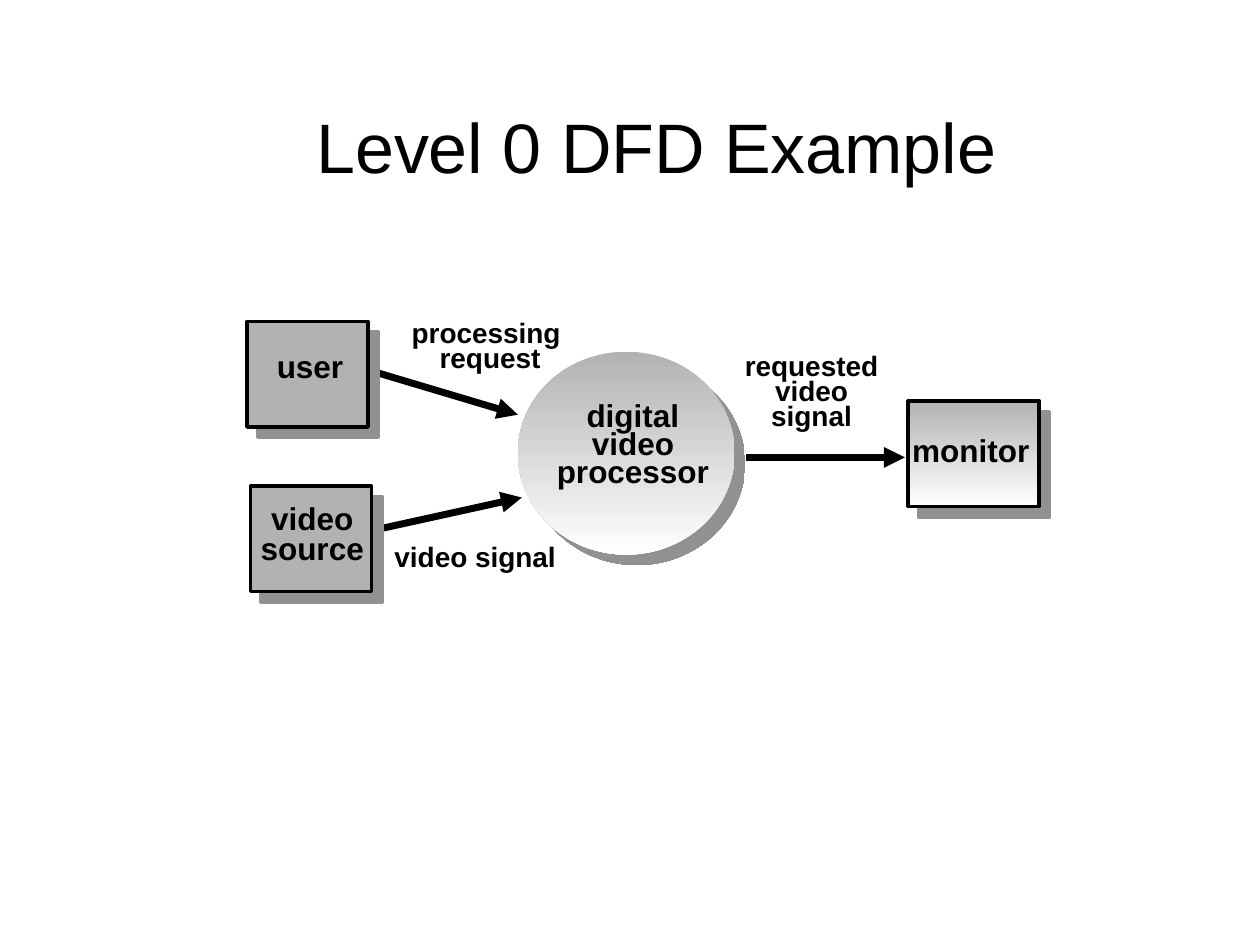
from pptx import Presentation
from pptx.dml.color import RGBColor
from pptx.enum.shapes import MSO_CONNECTOR as Link, MSO_SHAPE as Preset
from pptx.enum.text import MSO_ANCHOR as Anchor, MSO_AUTO_SIZE as AutoSize, PP_ALIGN as Align
from pptx.oxml.ns import qn
from pptx.util import Cm, Pt
from lxml.etree import SubElement

BLACK = RGBColor(0x00, 0x00, 0x00)
WHITE = RGBColor(0xFF, 0xFF, 0xFF)
GREY = RGBColor(0xB2, 0xB2, 0xB2)
SHADOW = RGBColor(0x91, 0x91, 0x91)
FONT = "Arial"

FLOWS = [
    ((7.19, 7.39), (10.44, 8.36)),
    ((7.16, 10.77), (10.52, 10.03)),
    ((15.04, 9.22), (18.24, 9.22)),
]
ENTITIES = [
    ((4.98, 6.48, 2.44, 2.13), False),
    ((5.05, 9.8, 2.44, 2.13), False),
    ((18.31, 8.08, 2.64, 2.13), True),
]
LABELS = [
    ((5.33, 6.88, 1.85, 1.02), ["user"], 18, Align.LEFT, 1.0),
    ((8.05, 6.4, 3.66, 1.27), ["processing ", "request"], 16, Align.CENTER, 0.75),
    ((5.0, 10.08, 2.59, 1.47), ["video", "source"], 18, Align.CENTER, 0.8),
    ((7.7, 10.92, 3.76, 0.76), ["video signal"], 16, Align.CENTER, 0.75),
    ((10.97, 8.03, 3.58, 1.96), ["digital", "video", "processor"], 18, Align.CENTER, 0.75),
    ((14.76, 7.06, 3.2, 1.78), ["requested", "video", "signal"], 16, Align.CENTER, 0.75),
    ((18.14, 8.56, 2.87, 1.02), ["monitor"], 18, Align.LEFT, 1.0),
]


def set_font(para, size, bold):
    """Give a paragraph the black slide font."""
    font = para.font
    font.name, font.size, font.bold = FONT, Pt(size), bold
    font.color.rgb = BLACK


def add_title(page, text):
    """Place and format the title placeholder."""
    title = page.shapes.title
    title.left, title.top, title.width, title.height = map(Cm, (4.24, 1.14, 17.98, 3.58))
    frame = title.text_frame
    frame.text = text
    frame.vertical_anchor = Anchor.MIDDLE
    para = frame.paragraphs[0]
    para.alignment = Align.CENTER
    set_font(para, 40, False)


def add_shadow(shape):
    """Cast a hard shadow down and to the right."""
    shape.shadow.inherit = False
    effects = shape._element.spPr.find(qn("a:effectLst"))
    outer = SubElement(effects, qn("a:outerShdw"), dist=str(Pt(8.5)), dir="2700000",
                       algn="ctr", rotWithShape="0")
    SubElement(outer, qn("a:srgbClr"), val=str(SHADOW))


def add_node(page, preset, place, shaded, outlined):
    """Add a shadowed process or entity shape."""
    shape = page.shapes.add_shape(preset, *map(Cm, place))
    if shaded:
        shape.fill.gradient()
        shape.fill.gradient_angle = 270
        for stop, color in zip(shape.fill.gradient_stops, (GREY, WHITE)):
            stop.color.rgb = color
    else:
        shape.fill.solid()
        shape.fill.fore_color.rgb = GREY
    if outlined:
        shape.line.color.rgb = BLACK
        shape.line.width = Pt(2)
    else:
        shape.line.fill.background()
    add_shadow(shape)


def add_flow(page, start, end):
    """Add a thick data flow arrow."""
    arrow = page.shapes.add_connector(Link.STRAIGHT, *map(Cm, start + end))
    arrow.line.color.rgb = BLACK
    arrow.line.width = Pt(4)
    SubElement(arrow.line._get_or_add_ln(), qn("a:tailEnd"), type="triangle")
    SubElement(arrow._element.spPr, qn("a:effectLst"))


def add_label(page, place, lines, size, alignment, spacing):
    """Add a bold label with one paragraph per line."""
    frame = page.shapes.add_textbox(*map(Cm, place)).text_frame
    frame.word_wrap = False
    frame.auto_size = AutoSize.SHAPE_TO_FIT_TEXT
    frame.text = "\n".join(lines)
    for para in frame.paragraphs:
        para.alignment = alignment
        para.line_spacing = spacing
        set_font(para, size, True)


def main():
    """Build the data flow diagram slide."""
    deck = Presentation()
    deck.slide_width, deck.slide_height = Cm(25.4), Cm(19.05)
    page = deck.slides.add_slide(deck.slide_layouts[5])
    add_title(page, "Level 0 DFD Example")
    add_node(page, Preset.OVAL, (10.44, 7.09, 4.37, 4.09), shaded=True, outlined=False)
    for start, end in FLOWS:
        add_flow(page, start, end)
    for place, shaded in ENTITIES:
        add_node(page, Preset.RECTANGLE, place, shaded, outlined=True)
    for label in LABELS:
        add_label(page, *label)
    deck.save("out.pptx")


if __name__ == "__main__":
    main()
